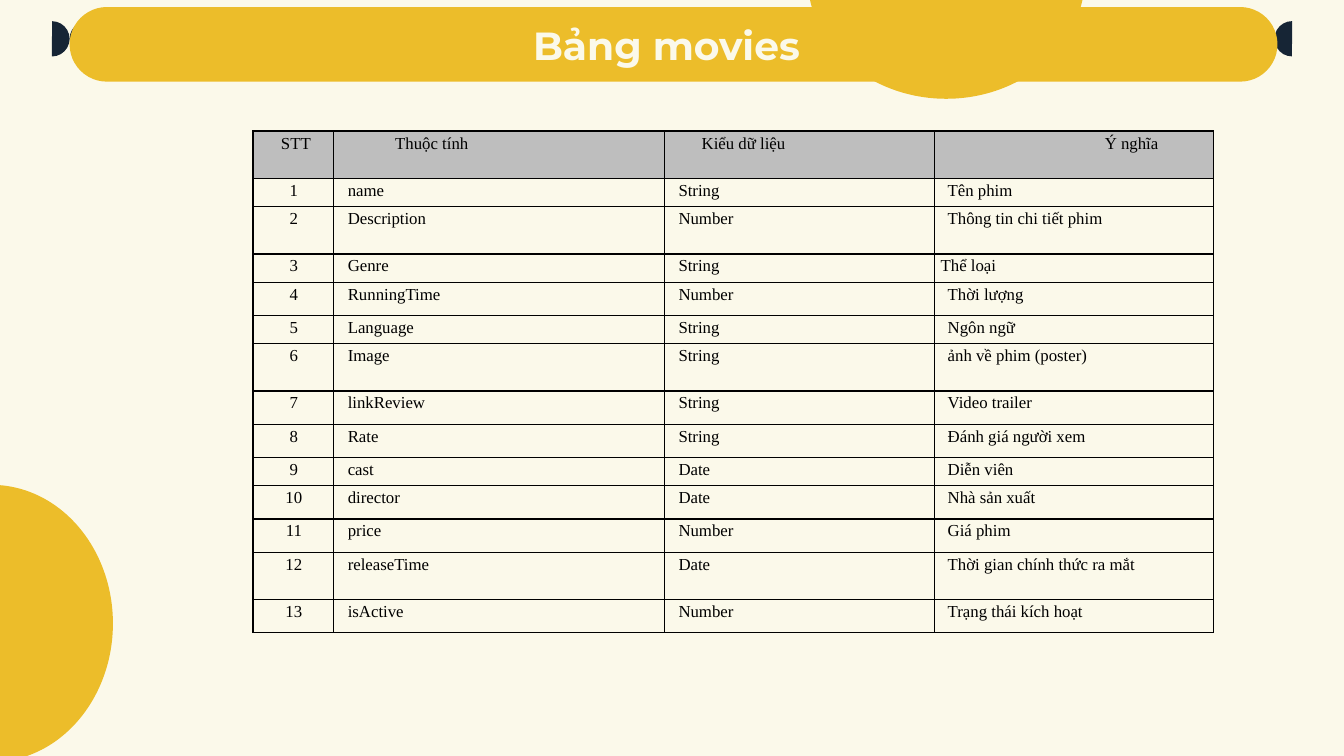
from lxml import etree
from pptx import Presentation
from pptx.dml.color import RGBColor
from pptx.enum import shapes, text
from pptx.oxml.ns import qn
from pptx.util import Inches, Pt

CREAM = RGBColor(0xFB, 0xF9, 0xEA)
YELLOW = RGBColor(0xEC, 0xBD, 0x2A)
NAVY = RGBColor(0x16, 0x25, 0x35)
GREY = RGBColor(0xBE, 0xBE, 0xBE)
BLACK = RGBColor(0, 0, 0)
LEFT, CENTER, RIGHT = text.PP_ALIGN.LEFT, text.PP_ALIGN.CENTER, text.PP_ALIGN.RIGHT


def set_font(font, color, **values):
    for name, value in values.items():
        setattr(font, name, value)
    font.color.rgb = color


def add_borders(cell):
    properties = cell._tc.get_or_add_tcPr()
    for position, side in enumerate(("lnL", "lnR", "lnT", "lnB")):
        line = etree.Element(qn(f"a:{side}"), w=str(Pt(1)))
        fill = etree.SubElement(line, qn("a:solidFill"))
        etree.SubElement(fill, qn("a:srgbClr"), val=str(BLACK))
        properties.insert(position, line)


presentation = Presentation()
presentation.slide_width = Inches(13.33)
presentation.slide_height = Inches(7.5)
slide = presentation.slides.add_slide(presentation.slide_layouts[6])
slide.background.fill.solid()
slide.background.fill.fore_color.rgb = CREAM

PIE, OVAL = shapes.MSO_SHAPE.PIE, shapes.MSO_SHAPE.OVAL
ROUNDED = shapes.MSO_SHAPE.ROUNDED_RECTANGLE
decorations = [
    (PIE, (-1.29, 4.81, 2.41, 2.75), 180, YELLOW, (53.46, 162)),
    (PIE, (8.18, -1.6, 2.41, 2.75), 270, YELLOW, (53.46, 162)),
    (PIE, (0.34, 0.21, 0.35, 0.35), 180, NAVY, (54.58, 162)),
    (OVAL, (0.69, 0.21, 0.35, 0.35), 0, NAVY, ()),
    (PIE, (12.64, 0.21, 0.35, 0.35), 0, NAVY, (54.58, 162)),
    (ROUNDED, (0.69, 0.07, 11.98, 0.74), 0, YELLOW, (0.5,)),
]
for kind, box, rotation, color, adjustments in decorations:
    shape = slide.shapes.add_shape(kind, *map(Inches, box))
    shape.rotation = rotation
    shape.shadow.inherit = False
    shape.fill.solid()
    shape.fill.fore_color.rgb = color
    shape.line.fill.background()
    for index, value in enumerate(adjustments):
        shape.adjustments[index] = value

title = slide.shapes.add_textbox(*map(Inches, (1.05, 0.07, 11.23, 0.83)))
frame_format = {
    "word_wrap": True,
    "vertical_anchor": text.MSO_ANCHOR.MIDDLE,
    "margin_left": 0,
    "margin_right": 0,
    "margin_top": 0,
    "margin_bottom": 0,
}
for name, value in frame_format.items():
    setattr(title.text_frame, name, value)
paragraph = title.text_frame.paragraphs[0]
paragraph.text = "Bảng movies "
paragraph.alignment = CENTER
paragraph.line_spacing = 0.8
set_font(paragraph.runs[0].font, CREAM, name="Montserrat", size=Pt(28), bold=True)

header = ("STT", "Thuộc tính", "Kiểu dữ liệu", "Ý nghĩa")
fields = [
    ("name", "String", "Tên phim", 0.28),
    ("Description", "Number", "Thông tin chi tiết phim", 0.47),
    ("Genre", "String", "Thể loại", 0.28),
    ("RunningTime", "Number", "Thời lượng", 0.33),
    ("Language", "String", "Ngôn ngữ", 0.28),
    ("Image", "String", "ảnh về phim (poster)", 0.47),
    ("linkReview", "String", "Video trailer", 0.33),
    ("Rate", "String", "Đánh giá người xem", 0.33),
    ("cast", "Date", "Diễn viên", 0.28),
    ("director", "Date", "Nhà sản xuất", 0.33),
    ("price", "Number", "Giá phim", 0.33),
    ("releaseTime", "Date", "Thời gian chính thức ra mắt", 0.47),
    ("isActive", "Number", "Trạng thái kích hoạt", 0.33),
]
rows = [(header, 0.47)]
rows += [((str(number), *field[:3]), field[3]) for number, field in enumerate(fields, 1)]
header_indents = (0.05, 0.55, 0.31, 0)
field_indents = (0.01, 0.08, 0.08, 0.07)

table = slide.shapes.add_table(
    len(rows), len(header), *map(Inches, (2.51, 1.3, 9.53, 4.98))
).table
table.first_row = False
table.horz_banding = False
for column, width in zip(table.columns, (0.8, 3.28, 2.68, 2.77)):
    column.width = Inches(width)

for row_index, (values, height) in enumerate(rows):
    table.rows[row_index].height = Inches(height)
    is_header = row_index == 0
    indents = header_indents if is_header else field_indents
    alignments = (CENTER, LEFT, LEFT, RIGHT if is_header else LEFT)
    for column_index, value in enumerate(values):
        cell = table.cell(row_index, column_index)
        cell.margin_left = cell.margin_right = Inches(0.06)
        cell.margin_top = cell.margin_bottom = Inches(0.03)
        if alignments[column_index] == RIGHT:
            cell.margin_right = Inches(0.55)
        if is_header:
            cell.fill.solid()
            cell.fill.fore_color.rgb = GREY
        else:
            cell.fill.background()
        add_borders(cell)
        paragraph = cell.text_frame.paragraphs[0]
        paragraph.text = value
        paragraph.alignment = alignments[column_index]
        indent = 0 if value == "Thể loại" else indents[column_index]
        paragraph._p.get_or_add_pPr().set("marL", str(Inches(indent)))
        set_font(paragraph.runs[0].font, BLACK, name="Times New Roman", size=Pt(12), bold=False)

presentation.save("out.pptx")
